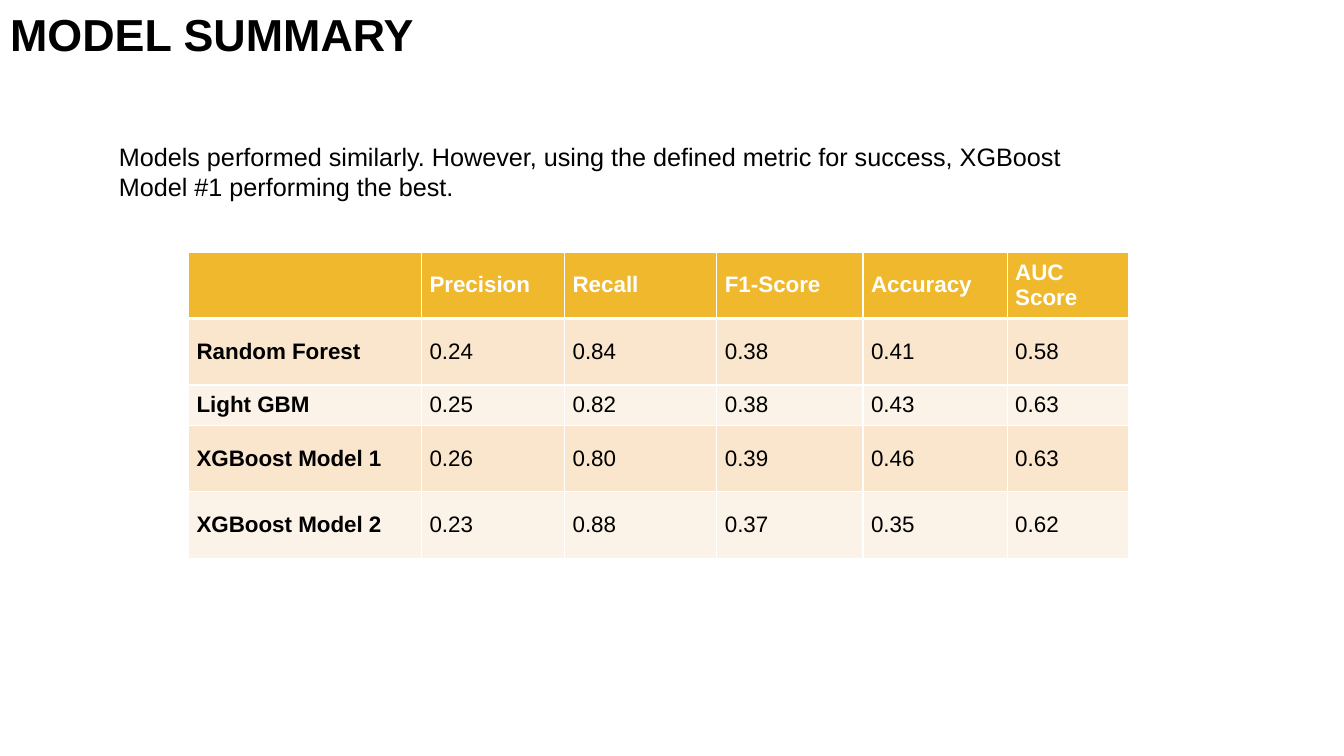
from lxml import etree
from pptx import Presentation
from pptx.dml.color import RGBColor
from pptx.enum.text import MSO_ANCHOR, MSO_AUTO_SIZE, PP_ALIGN
from pptx.oxml.ns import qn
from pptx.util import Inches, Pt

TITLE = "MODEL SUMMARY"
SUMMARY = ("Models performed similarly. However, using the defined metric for success, "
           "XGBoost Model #1 performing the best.")
SCORES = [
    ("", "Precision", "Recall", "F1-Score", "Accuracy", "AUC Score"),
    ("Random Forest", "0.24", "0.84", "0.38", "0.41", "0.58"),
    ("Light GBM", "0.25", "0.82", "0.38", "0.43", "0.63"),
    ("XGBoost Model 1", "0.26", "0.80", "0.39", "0.46", "0.63"),
    ("XGBoost Model 2", "0.23", "0.88", "0.37", "0.35", "0.62"),
]
COL_WIDTHS = [2.31, 1.42, 1.51, 1.45, 1.43, 1.2]
ROW_HEIGHTS = [0.66, 0.66, 0.4, 0.66, 0.66]

FONT = "Arial"
BLACK = RGBColor(0x00, 0x00, 0x00)
WHITE = RGBColor(0xFF, 0xFF, 0xFF)
GOLD = RGBColor(0xF0, 0xB8, 0x2C)
BANDS = [RGBColor(0xFC, 0xF3, 0xE8), RGBColor(0xF9, 0xE6, 0xCD)]
MIDDLE, BOTTOM = MSO_ANCHOR.MIDDLE, MSO_ANCHOR.BOTTOM
NO_FIT = MSO_AUTO_SIZE.NONE
LEFT = PP_ALIGN.LEFT


def set_text(tf, text, size, color, bold=False):
    tf.text = text
    p = tf.paragraphs[0]
    p.alignment = LEFT
    p.font.name = FONT
    p.font.size = Pt(size)
    p.font.bold = bold
    p.font.color.rgb = color
    return p


def set_borders(cell, color, widths):
    tc_pr = cell._tc.get_or_add_tcPr()
    for side, width in widths.items():
        ln = etree.SubElement(tc_pr, qn(f"a:ln{side}"), w=str(Pt(width)))
        fill = etree.SubElement(ln, qn("a:solidFill"))
        etree.SubElement(fill, qn("a:srgbClr"), val=str(color))


def add_title(slide):
    sp = slide.shapes.title
    sp.left, sp.top, sp.width, sp.height = 0, 0, Inches(11.5), Inches(0.66)
    tf = sp.text_frame
    tf.auto_size = NO_FIT
    tf.vertical_anchor = BOTTOM
    set_text(tf, TITLE, 32, BLACK, True).line_spacing = 0.9


def add_scores(slide):
    table = slide.shapes.add_table(
        len(SCORES), len(COL_WIDTHS), Inches(1.87), Inches(2.5),
        Inches(sum(COL_WIDTHS)), Inches(sum(ROW_HEIGHTS))).table
    for column, width in zip(table.columns, COL_WIDTHS):
        column.width = Inches(width)
    for r, (row, height) in enumerate(zip(SCORES, ROW_HEIGHTS)):
        table.rows[r].height = Inches(height)
        header = r == 0
        borders = {"L": 1, "R": 1, "T": 3 if r == 1 else 1, "B": 3 if header else 1}
        for c, text in enumerate(row):
            cell = table.cell(r, c)
            cell.vertical_anchor = MIDDLE
            cell.margin_left = cell.margin_right = Inches(0.08)
            cell.margin_top = cell.margin_bottom = Inches(0.04)
            set_borders(cell, WHITE, borders)
            cell.fill.solid()
            cell.fill.fore_color.rgb = GOLD if header else BANDS[r % 2]
            set_text(cell.text_frame, text, 16, WHITE if header else BLACK, header or c == 0)


def add_summary(slide):
    sp = slide.shapes.add_textbox(Inches(1.08), Inches(1.35), Inches(10.25), Inches(1.31))
    sp.text_frame.word_wrap = True
    set_text(sp.text_frame, SUMMARY, 18, BLACK)


def main():
    prs = Presentation()
    prs.slide_width, prs.slide_height = Inches(13.33), Inches(7.5)
    slide = prs.slides.add_slide(prs.slide_layouts[5])
    add_title(slide)
    add_scores(slide)
    add_summary(slide)
    prs.save("out.pptx")


if __name__ == "__main__":
    main()
